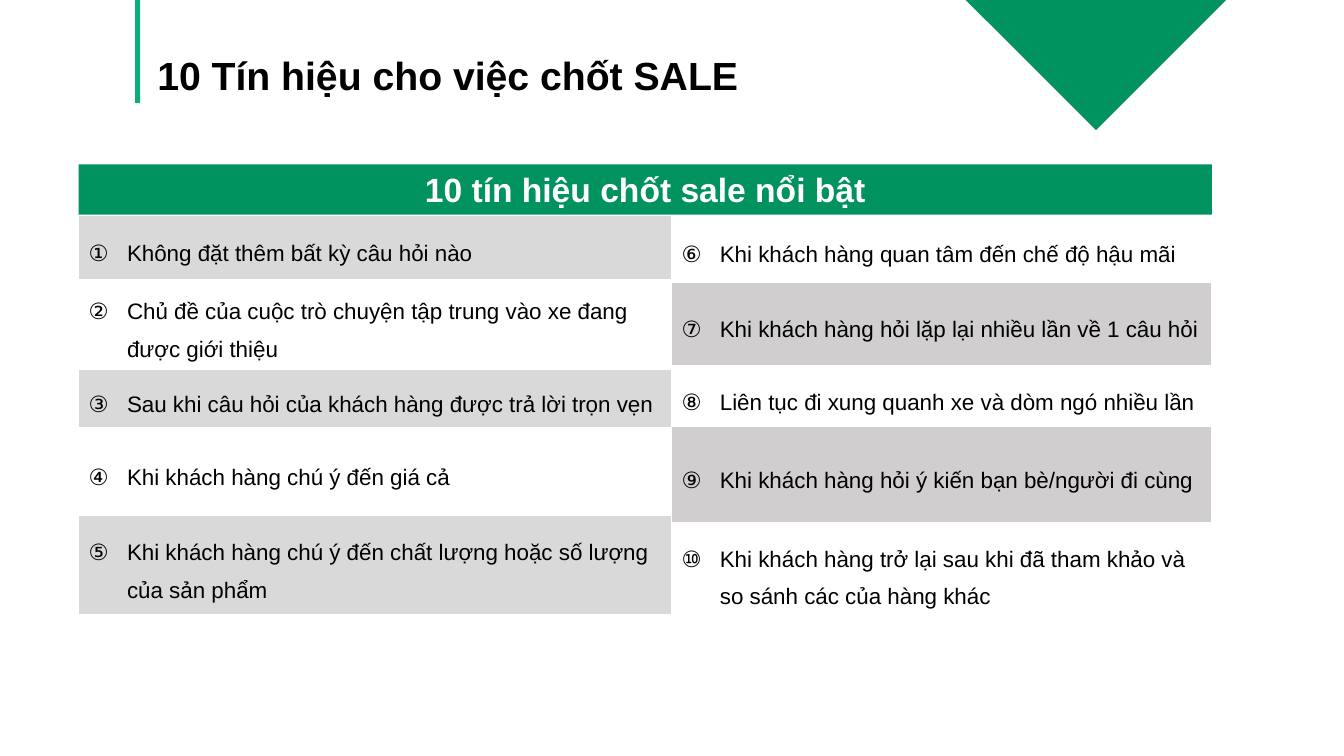
from lxml import etree
from pptx import Presentation
from pptx.dml.color import RGBColor
from pptx.enum.shapes import MSO_SHAPE
from pptx.enum.text import MSO_ANCHOR, MSO_AUTO_SIZE, PP_ALIGN
from pptx.oxml.ns import qn
from pptx.util import Inches, Pt

RECT, TRIANGLE = MSO_SHAPE.RECTANGLE, MSO_SHAPE.RIGHT_TRIANGLE
LEFT, CENTER = PP_ALIGN.LEFT, PP_ALIGN.CENTER
MIDDLE, TOP = MSO_ANCHOR.MIDDLE, MSO_ANCHOR.TOP
FIT_SHAPE = MSO_AUTO_SIZE.SHAPE_TO_FIT_TEXT

TITLE = "10 Tín hiệu cho việc chốt SALE"
BANNER = "10 tín hiệu chốt sale nổi bật"
# Each signal: text, row height
LEFT_SIGNALS = [
    ("Không đặt thêm bất kỳ câu hỏi nào", 0.63),
    ("Chủ đề của cuộc trò chuyện tập trung vào xe đang được giới thiệu", 0.9),
    ("Sau khi câu hỏi của khách hàng được trả lời trọn vẹn", 0.57),
    ("Khi khách hàng chú ý đến giá cả", 0.88),
    ("Khi khách hàng chú ý đến chất lượng hoặc số lượng của sản phẩm", 0.98),
]
RIGHT_SIGNALS = [
    ("Khi khách hàng quan tâm đến chế độ hậu mãi", 0.66),
    ("Khi khách hàng hỏi lặp lại nhiều lần về 1 câu hỏi", 0.83),
    ("Liên tục đi xung quanh xe và dòm ngó nhiều lần", 0.6),
    ("Khi khách hàng hỏi ý kiến bạn bè/người đi cùng", 0.95),
    ("Khi khách hàng trở lại sau khi đã tham khảo và so sánh các của hàng khác", 0.99),
]
THEME = {
    "font": "Arial", "title": 28, "banner": 24, "body": 16,
    "green": "00925F", "mint": "0CAC7E", "text": "000000", "white": "FFFFFF",
    "left_band": "D9D9D9", "right_band": "D0CECE",
}
TABLE_X, TABLE_Y = 0.78, 2.14
LEFT_W, RIGHT_W = 5.88, 5.36
INDENT = 0.38


def color(name):
    return RGBColor.from_string(THEME[name])


def write(tf, text, size, ink="text", bold=False, align=LEFT, spacing=1.0):
    tf.word_wrap = True
    p = tf.paragraphs[0]
    p.text = text
    p.alignment = align
    p.line_spacing = spacing
    font = p.runs[0].font
    font.name, font.size, font.bold = THEME["font"], Pt(THEME[size]), bold
    font.color.rgb = color(ink)


def add_block(slide, shape, box, fill):
    sp = slide.shapes.add_shape(shape, *map(Inches, box))
    sp.shadow.inherit = False
    sp.fill.solid()
    sp.fill.fore_color.rgb = color(fill)
    sp.line.fill.background()
    return sp


def set_borders(cell, white_sides):
    """White 1 pt lines on the given sides, none on the others."""
    tcPr = cell._tc.get_or_add_tcPr()
    for i, side in enumerate("LRTB"):
        ln = etree.Element(qn(f"a:ln{side}"), w=str(Pt(1)))
        if side in white_sides:
            fill = etree.SubElement(ln, qn("a:solidFill"))
            etree.SubElement(fill, qn("a:srgbClr"), val=THEME["white"])
        else:
            etree.SubElement(ln, qn("a:noFill"))
        tcPr.insert(i, ln)


def number_paragraph(p, number):
    pPr = p._p.get_or_add_pPr()
    pPr.set("marL", str(Inches(INDENT)))
    pPr.set("indent", str(-Inches(INDENT)))
    etree.SubElement(pPr, qn("a:buAutoNum"), type="circleNumDbPlain", startAt=str(number))


def add_signals(slide, signals, x, width, first, fills, inner_lines):
    """One-column numbered table whose rows alternate between two fills."""
    height = sum(h for _, h in signals)
    frame = slide.shapes.add_table(len(signals), 1, *map(Inches, (x, TABLE_Y, width, height)))
    table = frame.table
    table.first_row = table.horz_banding = False
    for i, (text, row_height) in enumerate(signals):
        table.rows[i].height = Inches(row_height)
        cell = table.cell(i, 0)
        cell.vertical_anchor = MIDDLE
        cell.fill.solid()
        cell.fill.fore_color.rgb = color(fills[i % 2])
        top = "T" if inner_lines or i == 0 else ""
        bottom = "B" if inner_lines or i == len(signals) - 1 else ""
        set_borders(cell, "LR" + top + bottom)
        number_paragraph(cell.text_frame.paragraphs[0], first + i)
        write(cell.text_frame, text, "body", spacing=1.5)


def main():
    prs = Presentation()
    prs.slide_width, prs.slide_height = Inches(13.33), Inches(7.5)
    slide = prs.slides.add_slide(prs.slide_layouts[6])

    corner = add_block(slide, TRIANGLE, (9.95, -0.93, 1.84, 1.84), "green")
    corner.rotation = 315

    add_signals(slide, LEFT_SIGNALS, TABLE_X, LEFT_W, 1, ("left_band", "white"), False)
    add_signals(slide, RIGHT_SIGNALS, TABLE_X + LEFT_W, RIGHT_W, len(LEFT_SIGNALS) + 1,
                ("white", "right_band"), True)

    banner = add_block(slide, RECT, (TABLE_X, 1.63, LEFT_W + RIGHT_W, 0.5), "green")
    write(banner.text_frame, BANNER, "banner", "white", True, CENTER)
    banner.text_frame.vertical_anchor = TOP
    banner.text_frame.auto_size = FIT_SHAPE

    add_block(slide, RECT, (1.34, 0, 0.05, 1.02), "mint")
    title = slide.shapes.add_textbox(*map(Inches, (1.56, 0.42, 7.42, 0.53)))
    tf = title.text_frame
    tf.margin_left = tf.margin_top = tf.margin_right = tf.margin_bottom = 0
    write(tf, TITLE, "title", bold=True, spacing=1.2)
    tf.auto_size = FIT_SHAPE

    prs.save("out.pptx")


if __name__ == "__main__":
    main()
